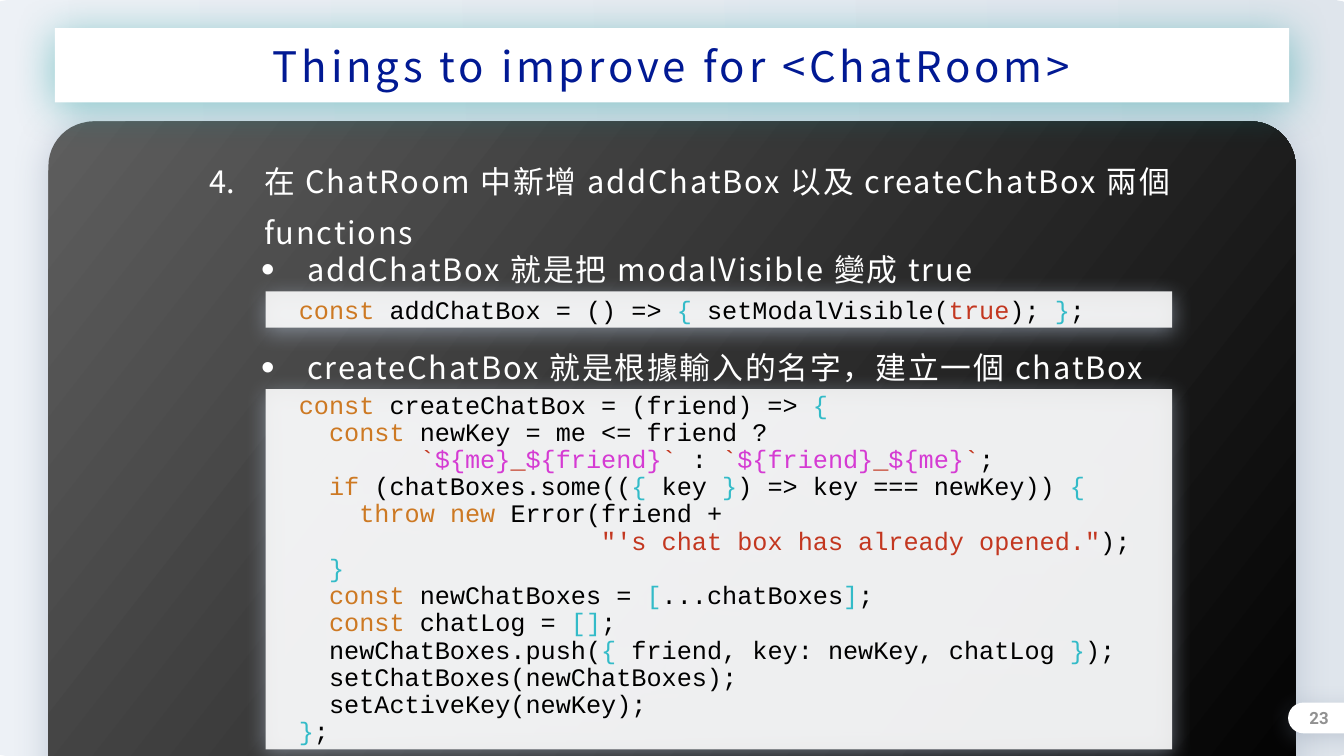
import pptx
import pptx.util
import pptx.dml.color
import pptx.enum.shapes
import pptx.enum.text
from pptx.oxml.ns import qn
from lxml import etree

WIDTH, HEIGHT = pptx.util.Inches(26.67), pptx.util.Inches(15)
SANS, MONO = "Noto Sans CJK SC", "Courier New"
INSET = pptx.util.Inches(0.06)
MIDDLE = pptx.enum.text.MSO_ANCHOR.MIDDLE
CENTER = pptx.enum.text.PP_ALIGN.CENTER
ROUNDED = pptx.enum.shapes.MSO_SHAPE.ROUNDED_RECTANGLE
RECTANGLE = pptx.enum.shapes.MSO_SHAPE.RECTANGLE

# Code markup: ~kword~ colours "word" with the style named by its first letter.
SYNTAX = {"k": "CD7923", "b": "33BBC8", "s": "C33720", "v": "D53BD3"}

ADD_CODE = ["  ~kconst~ addChatBox = () => ~b{~ setModalVisible(~strue~); ~b}~;"]
CREATE_CODE = [
    "  ~kconst~ createChatBox = (friend) => ~b{~",
    "    ~kconst~ newKey = me <= friend ?",
    "          ~s`~~v${me}~~s_~~v${friend}~~s`~ : ~s`~~v${friend}~~s_~~v${me}~~s`~;",
    "    ~kif~ (chatBoxes.some((~b{~ key ~b}~) => key === newKey)) ~b{~",
    "      ~kthrow new~ Error(friend +",
    "                      ~s\"'s chat box has already opened.\"~);",
    "    ~b}~",
    "    ~kconst~ newChatBoxes = ~b[~...chatBoxes~b]~;",
    "    ~kconst~ chatLog = ~b[]~;",
    "    newChatBoxes.push(~b{~ friend, key: newKey, chatLog ~b}~);",
    "    setChatBoxes(newChatBoxes);",
    "    setActiveKey(newKey);",
    "  ~b}~;",
]


def rgb(color):
    return pptx.dml.color.RGBColor.from_string(color)


def area(box):
    """Turn left, top, width, height in percent of the slide into EMU."""
    return [round(share * side / 100) for share, side in zip(box, (WIDTH, HEIGHT) * 2)]


def place(sp, box):
    sp.left, sp.top, sp.width, sp.height = area(box)


def element(parent, tag, **attributes):
    return etree.SubElement(parent, qn(tag), {k: str(v) for k, v in attributes.items()})


def set_alpha(sp, *percents):
    colors = sp._element.spPr.iter(qn("a:srgbClr"))
    for color, percent in zip(colors, percents):
        element(color, "a:alpha", val=percent * 1000)


def fill_gradient(sp, colors, angle):
    sp.fill.gradient()
    sp.fill.gradient_angle = angle
    for stop, color, position in zip(sp.fill.gradient_stops, colors, (0, 1)):
        stop.color.rgb = rgb(color)
        stop.position = position


def fill_solid(sp, color):
    sp.fill.solid()
    sp.fill.fore_color.rgb = rgb(color)


def cast_shadow(sp, color, alpha, blur):
    effects = sp._element.spPr.find(qn("a:effectLst"))
    shadow = element(effects, "a:outerShdw", blurRad=pptx.util.Pt(blur),
                     dist=pptx.util.Pt(6.6), dir=5400000, rotWithShape=0)
    element(element(shadow, "a:srgbClr", val=color), "a:alpha", val=alpha * 1000)


def add_plain(s, kind, box, corner=None):
    sp = s.shapes.add_shape(kind, *area(box))
    sp.shadow.inherit = False
    sp.line.fill.background()
    if corner is not None:
        sp.adjustments[0] = corner
    return sp


def setup_frame(sp):
    tf = sp.text_frame
    tf.word_wrap = True
    tf.auto_size = pptx.enum.text.MSO_AUTO_SIZE.NONE
    tf.vertical_anchor = MIDDLE
    tf.margin_left = tf.margin_right = tf.margin_top = tf.margin_bottom = INSET
    return tf


def add_text(p, text, font=SANS, size=44, color="FFFFFF", bold=False, spacing=0):
    r = p.add_run()
    r.text = text
    r.font.name, r.font.size, r.font.bold = font, pptx.util.Pt(size), bold
    r.font.color.rgb = rgb(color)
    rPr = r._r.get_or_add_rPr()
    element(rPr, "a:ea", typeface=font)
    if spacing:
        rPr.set("spc", str(round(spacing * 100)))


def set_paragraph(p, align=pptx.enum.text.PP_ALIGN.LEFT, line=1.0):
    p.alignment, p.line_spacing = align, line
    p.space_before = p.space_after = pptx.util.Pt(0)


def list_item(sp, box, text, margin, hang, line, start=None):
    """Fill a body placeholder with one item, numbered if start is given."""
    place(sp, box)
    p = setup_frame(sp).paragraphs[0]
    pPr = p._p.get_or_add_pPr()
    pPr.set("marL", str(round(margin * WIDTH / 100)))
    pPr.set("indent", str(round(-hang * WIDTH / 100)))
    if start:
        element(pPr, "a:buFontTx")
        element(pPr, "a:buAutoNum", type="arabicPeriod", startAt=start)
    else:
        element(pPr, "a:buSzPct", val=125000)
        element(pPr, "a:buChar", char="•")
    set_paragraph(p, line=line)
    add_text(p, text, spacing=2.6)


def backdrop(s):
    sheet = add_plain(s, ROUNDED, (-2.7, -0.07, 105.36, 100.07), 0.068)
    fill_gradient(sheet, ("E4EAF2", "CFD8E4"), 2)
    set_alpha(sheet, 62, 65)
    panel = add_plain(s, ROUNDED, (3.6, 16.07, 92.8, 95.67), 0.062)
    fill_gradient(panel, ("5E5E5E", "000000"), 322)
    cast_shadow(panel, "A7B4C6", 61, 50)


def page_tab(s, box, number):
    left, top, width, height = box
    tab = add_plain(s, ROUNDED, box, 0.5)
    fill_solid(tab, "FFFFFF")
    cast_shadow(tab, "7A899F", 31, 34)
    label = s.shapes.add_textbox(*area((left + 0.9, top + 0.4, 2.81, height - 0.74)))
    p = setup_frame(label).paragraphs[0]
    set_paragraph(p, CENTER)
    add_text(p, number, font="Roboto", size=24, color="919191", bold=True)


def title_bar(title, box, text):
    place(title, box)
    geometry = etree.Element(qn("a:prstGeom"), prst="roundRect")
    element(element(geometry, "a:avLst"), "a:gd", name="adj", fmla="val 50000")
    title._element.spPr.insert(1, geometry)
    fill_solid(title, "FFFFFF")
    title.line.fill.background()
    title.shadow.inherit = False
    cast_shadow(title, "009193", 44, 60)
    p = setup_frame(title).paragraphs[0]
    set_paragraph(p, CENTER)
    add_text(p, text, size=60, color="011993", spacing=5.4)


def code_panel(s, box, lines, line_spacing):
    panel = add_plain(s, RECTANGLE, box)
    fill_solid(panel, "FFFFFF")
    set_alpha(panel, 89)
    cast_shadow(panel, "A7B4C6", 61, 30)
    tf = setup_frame(panel)
    for i, line in enumerate(lines):
        p = tf.add_paragraph() if i else tf.paragraphs[0]
        set_paragraph(p, line=line_spacing)
        for j, piece in enumerate(line.split("~")):
            if piece and j % 2:
                add_text(p, piece[1:], font=MONO, size=36, color=SYNTAX[piece[0]])
            elif piece:
                add_text(p, piece, font=MONO, size=36, color="000000")


def code_section(s, body, box, heading, lines, line_spacing=1.0):
    """Place a bulleted heading with its code panel below."""
    left, top, width, height = box
    list_item(body, (left, top, width, 4.8), heading, 3.45, 3.45, 1.2)
    code_panel(s, (left + 0.56, top + 5.8, width - 1.17, height - 5.8), lines, line_spacing)


def main():
    prs = pptx.Presentation()
    prs.slide_width, prs.slide_height = WIDTH, HEIGHT
    s = prs.slides.add_slide(prs.slide_layouts.get_by_name("Comparison"))
    title, step, add_body, create_body, spare = list(s.placeholders)
    tree = title._element.getparent()
    tree.remove(spare._element)

    backdrop(s)
    page_tab(s, (95.84, 92.93, 6.34, 4.07), "23")
    for sp in (title, step, add_body, create_body):
        tree.append(sp._element)  # bring in front of the backdrop
    title_bar(title, (4.09, 3.73, 91.83, 9.8), "Things to improve for <ChatRoom>")
    list_item(step, (11.66, 21.07, 76.72, 10.6),
              "在 ChatRoom 中新增 addChatBox 以及 createChatBox 兩個 functions",
              7.76, 4.09, 1.4, start=4)
    code_section(s, add_body, (19.2, 32.73, 68.62, 10.6),
                 "addChatBox 就是把 modalVisible 變成 true", ADD_CODE)
    code_section(s, create_body, (19.2, 45.67, 68.62, 53.46),
                 "createChatBox 就是根據輸入的名字，建立一個 chatBox", CREATE_CODE, 0.9)
    prs.save("out.pptx")


if __name__ == "__main__":
    main()
